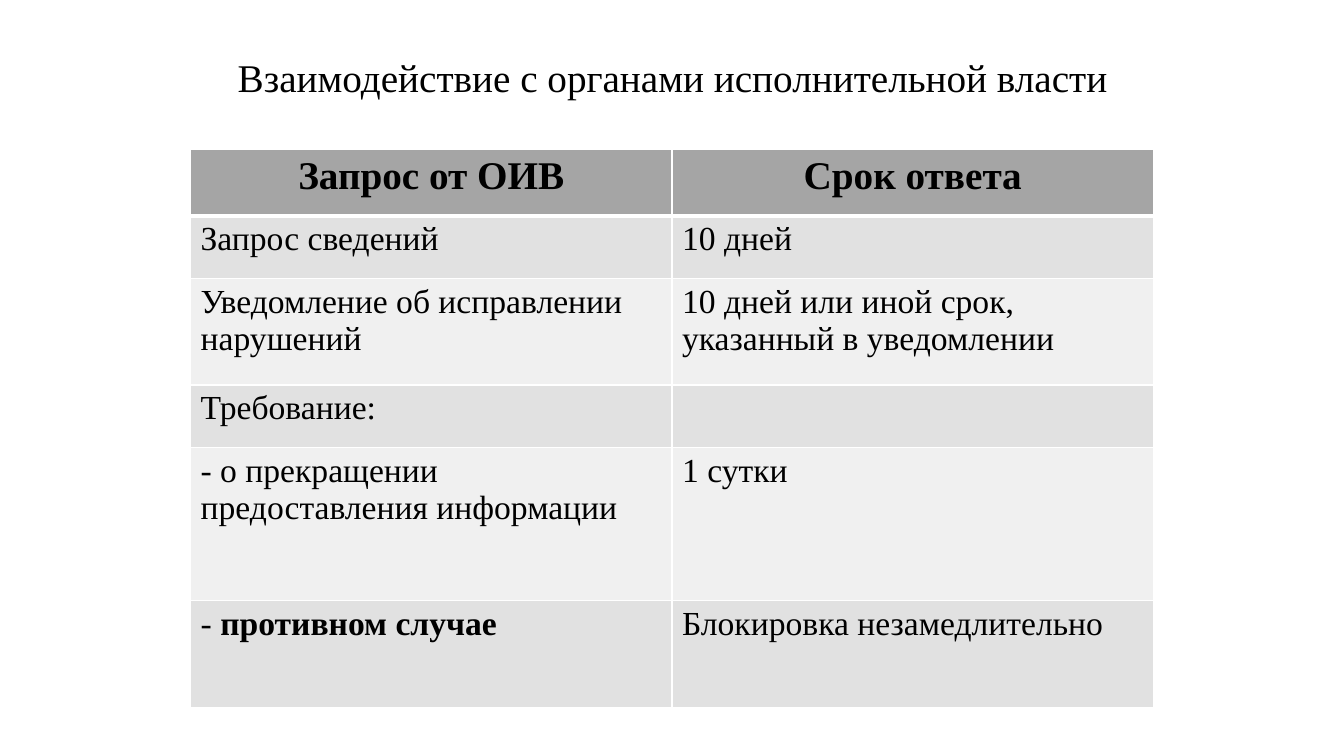
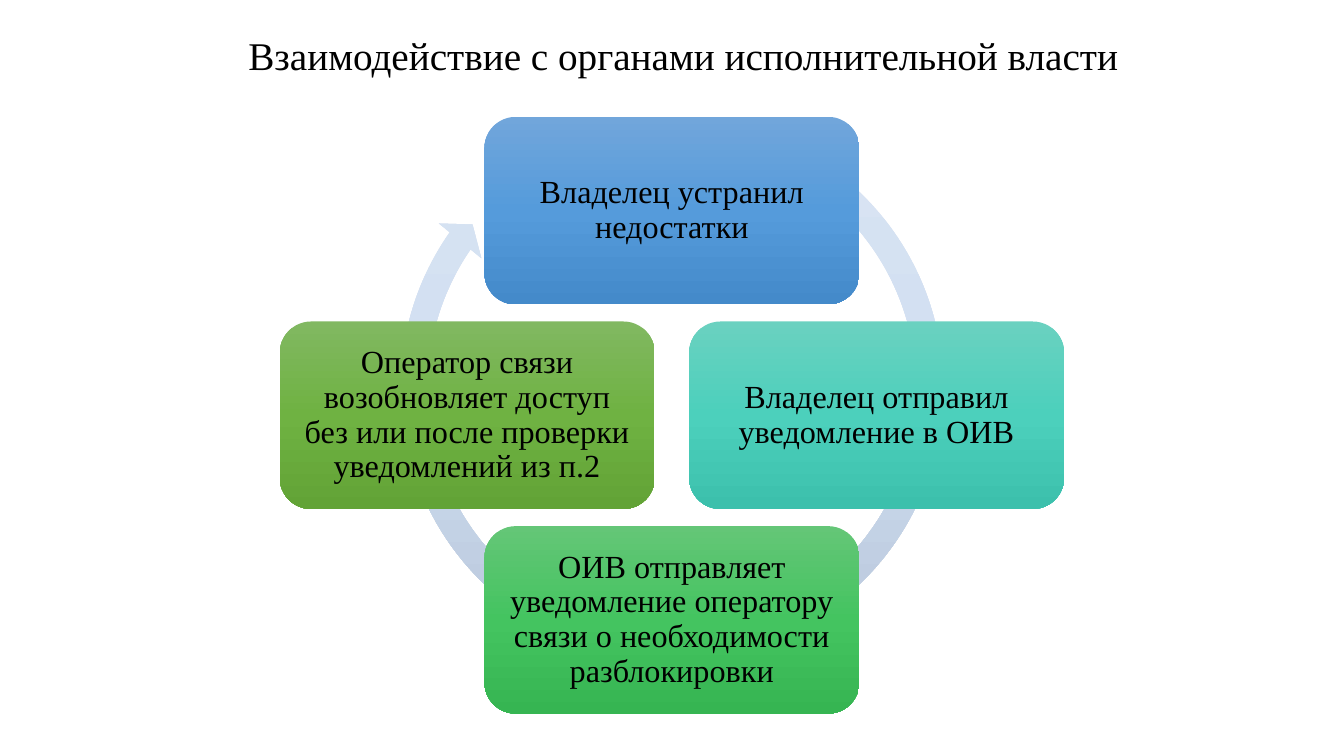
from pptx import Presentation
from pptx import util as u
from pptx.dml.color import RGBColor
from pptx.enum import shapes, text
from pptx.oxml import parse_xml
from pptx.oxml.ns import nsdecls

COLORS = {
    "text": "000000",
    "border": "FFFFFF",
    "header": "A5A5A5",
    "band_dark": "E1E1E1",
    "band_light": "F0F0F0",
}
GRADIENTS = {
    "arrow": ("DBE5F3", "D0DEF1", "B6C5D9"),
    "blue": ("71A6DB", "559BDB", "448ACA"),
    "teal": ("6AD1C0", "4CD0BC", "3CC0AC"),
    "green": ("64C677", "44C460", "36B552"),
    "olive": ("81B861", "6FB242", "62A336"),
}
TITLE = "Взаимодействие с органами исполнительной власти"
LEFT, CENTER = text.PP_ALIGN.LEFT, text.PP_ALIGN.CENTER


class Deck:
    """Shared style and the current slide; lengths are percentages of the slide."""

    font_name = "Times New Roman"
    title_size, header_size, body_size, card_size = 28, 28, 24, 23

    def __init__(self):
        self.prs = Presentation()
        self.prs.slide_width = u.Inches(13.33)
        self.prs.slide_height = u.Inches(7.5)
        self.slide = None

    def add_slide(self):
        self.slide = self.prs.slides.add_slide(self.prs.slide_layouts[6])

    def across(self, share):
        return round(self.prs.slide_width * share / 100)

    def down(self, share):
        return round(self.prs.slide_height * share / 100)

    def area(self, left, top, width, height):
        return self.across(left), self.down(top), self.across(width), self.down(height)

    def style(self, paragraph, size, align=LEFT, bold=False):
        paragraph.alignment = align
        font = paragraph.font
        font.name, font.size, font.bold = self.font_name, u.Pt(size), bold
        font.color.rgb = RGBColor.from_string(COLORS["text"])

    def title(self, left, top, width, align):
        frame = self.slide.shapes.add_textbox(*self.area(left, top, width, 7.6)).text_frame
        frame.word_wrap = True
        frame.text = TITLE
        self.style(frame.paragraphs[0], self.title_size, align)

    def gradient_shape(self, kind, center_x, center_y, width, height, gradient):
        """Add a borderless shape around a centre, shaded from top to bottom."""
        shape = self.slide.shapes.add_shape(kind, *self.area(
            center_x - width / 2, center_y - height / 2, width, height))
        stops = "".join(
            f'<a:gs pos="{i * 50000}"><a:srgbClr val="{color}"/></a:gs>'
            for i, color in enumerate(GRADIENTS[gradient]))
        shape.line.fill.background()
        shape.shadow.inherit = False
        shape.element.spPr.insert(2, parse_xml(
            f'<a:gradFill {nsdecls("a")} rotWithShape="1"><a:gsLst>{stops}</a:gsLst>'
            '<a:lin ang="5400000" scaled="0"/></a:gradFill>'))
        return shape

    def card(self, center_x, center_y, gradient, wording):
        frame = self.gradient_shape(shapes.MSO_SHAPE.ROUNDED_RECTANGLE, center_x, center_y,
                                    27.9, 24.8, gradient).text_frame
        frame.word_wrap = True
        frame.vertical_anchor = text.MSO_ANCHOR.MIDDLE
        frame.margin_left = frame.margin_right = u.Inches(0.1)
        frame.margin_top = frame.margin_bottom = u.Inches(0.1)
        frame.text = wording
        self.style(frame.paragraphs[0], self.card_size, CENTER)
        frame.paragraphs[0].line_spacing = 0.9

    def cycle_arrow(self, center_x, center_y, width, height):
        arrow = self.gradient_shape(shapes.MSO_SHAPE.CIRCULAR_ARROW, center_x, center_y,
                                    width, height, "arrow")
        for i, value in enumerate((0.047, 2.729, 128.887, 179.919, 0.048)):
            arrow.adjustments[i] = value

    def borders(self, cell, top, bottom):
        """Draw the four cell borders; top and bottom are widths in points."""
        properties = cell._tc.get_or_add_tcPr()
        for i, (side, width) in enumerate(zip("LRTB", (1, 1, top, bottom))):
            properties.insert(i, parse_xml(
                f'<a:ln{side} {nsdecls("a")} w="{u.Pt(width)}"><a:solidFill>'
                f'<a:srgbClr val="{COLORS["border"]}"/></a:solidFill></a:ln{side}>'))

    def table(self, left, top, column_width, rows):
        """Rows are (height, cells); a cell is a text or a (plain, bold) pair."""
        columns = len(rows[0][1])
        grid = self.slide.shapes.add_table(len(rows), columns, *self.area(
            left, top, column_width * columns, sum(height for height, _ in rows))).table
        grid.first_row = grid.horz_banding = False
        for column in grid.columns:
            column.width = self.across(column_width)
        for r, (height, wordings) in enumerate(rows):
            grid.rows[r].height = self.down(height)
            header = r == 0
            band = "header" if header else "band_dark" if r % 2 else "band_light"
            for c, wording in enumerate(wordings):
                cell = grid.cell(r, c)
                cell.fill.solid()
                cell.fill.fore_color.rgb = RGBColor.from_string(COLORS[band])
                self.borders(cell, 3 if r == 1 else 1, 3 if header else 1)
                paragraph = cell.text_frame.paragraphs[0]
                self.style(paragraph, self.header_size if header else self.body_size,
                           CENTER if header else LEFT, header)
                plain, bold = (wording, "") if isinstance(wording, str) else wording
                if plain:
                    paragraph.add_run().text = plain
                if bold:
                    run = paragraph.add_run()
                    run.text, run.font.bold = bold, True


def build_deadlines(deck):
    deck.add_slide()
    deck.table(14.18, 19.73, 35.82, [
        (8.8, ("Запрос от ОИВ", "Срок ответа")),
        (8.27, ("Запрос сведений", "10 дней")),
        (14.13, ("Уведомление об исправлении нарушений",
                 "10 дней или иной срок, указанный в уведомлении")),
        (8.27, ("Требование:", "")),
        (20.27, ("- о прекращении предоставления информации", "1 сутки")),
        (14.13, (("- ", "противном случае"), "Блокировка незамедлительно")),
    ])
    deck.title(16.95, 6.4, 67.97, LEFT)


def build_unblocking_cycle(deck):
    deck.add_slide()
    deck.title(17.18, 3.47, 67.29, CENTER)
    deck.cycle_arrow(50, 51.33, 42.46, 75.47)
    center_x, center_y, step_x, step_y = 50, 54.93, 15.23, 27.07
    for dx, dy, gradient, wording in (
        (0, -1, "blue", "Владелец устранил недостатки"),
        (1, 0, "teal", "Владелец отправил уведомление в ОИВ"),
        (0, 1, "green", "ОИВ отправляет уведомление оператору связи "
                        "о необходимости разблокировки"),
        (-1, 0, "olive", "Оператор связи возобновляет доступ без или после "
                         "проверки уведомлений из п.2"),
    ):
        deck.card(center_x + dx * step_x, center_y + dy * step_y, gradient, wording)


def main():
    deck = Deck()
    build_deadlines(deck)
    build_unblocking_cycle(deck)
    deck.prs.save("out.pptx")


if __name__ == "__main__":
    main()
